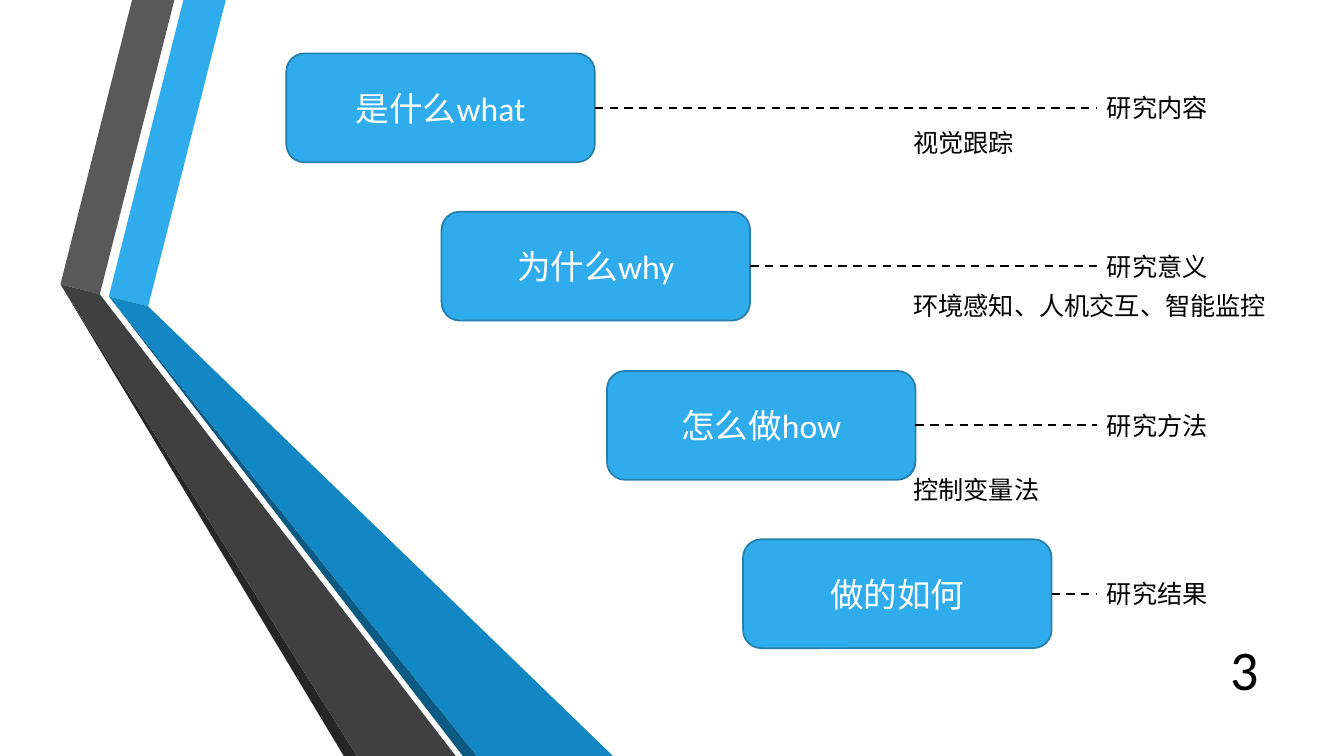
from lxml import etree
from pptx import Presentation
from pptx.dml.color import RGBColor
from pptx.enum.dml import MSO_LINE
from pptx.enum.shapes import MSO_CONNECTOR, MSO_SHAPE
from pptx.enum.text import MSO_ANCHOR, PP_ALIGN
from pptx.oxml.ns import qn
from pptx.util import Inches, Pt

DASH = MSO_LINE.DASH
STRAIGHT = MSO_CONNECTOR.STRAIGHT
ROUNDED = MSO_SHAPE.ROUNDED_RECTANGLE
TOP, MIDDLE = MSO_ANCHOR.TOP, MSO_ANCHOR.MIDDLE
LEFT, CENTER, RIGHT = PP_ALIGN.LEFT, PP_ALIGN.CENTER, PP_ALIGN.RIGHT

SKY = RGBColor(0x30, 0xAC, 0xEC)
SKY_EDGE = RGBColor(0x24, 0x7F, 0xAF)
BLUE = RGBColor(0x12, 0x87, 0xC3)
DEEP_BLUE = RGBColor(0x0C, 0x5A, 0x82)
GREY = RGBColor(0x59, 0x59, 0x59)
DARK_GREY = RGBColor(0x40, 0x40, 0x40)
CHARCOAL = RGBColor(0x26, 0x26, 0x26)
BLACK = RGBColor(0, 0, 0)
WHITE = RGBColor(0xFF, 0xFF, 0xFF)

LATIN_FONT = "Calibri"
CJK_FONT = "Noto Sans CJK SC"

# Corner points of the folded ribbons, back to front
RIBBONS = [
    (SKY, [(1.08, 2.94), (1.47, 3.04), (2.24, 0), (1.82, 0)]),
    (GREY, [(0.99, 2.92), (1.73, 0), (1.31, 0), (0.6, 2.82)]),
    (CHARCOAL, [(0.6, 2.82), (3.41, 7.5), (3.54, 7.5)]),
    (DEEP_BLUE, [(1.08, 2.94), (4.59, 7.5), (4.73, 7.5)]),
    (BLUE, [(1.08, 2.94), (4.73, 7.5), (6.08, 7.5), (1.47, 3.04)]),
    (DARK_GREY, [(0.6, 2.82), (3.54, 7.5), (4.52, 7.5), (0.99, 2.92)]),
]

# Left, top, question, topic, detail, drop from the box top to the detail
STEPS = [
    (2.84, 0.53, "是什么what", "研究内容", "视觉跟踪", 0.68),
    (4.38, 2.1, "为什么why", "研究意义", "环境感知、人机交互、智能监控", 0.73),
    (6.02, 3.68, "怎么做how", "研究方法", "控制变量法", 0.98),
    (7.37, 5.35, "做的如何", "研究结果", None, 0),
]
STEP_W, STEP_H = 3.06, 1.08
TOPIC_X, TOPIC_W = 10.88, 1.7
DETAIL_X, DETAIL_W = 8.96, 3.9
LABEL_H = 0.4


def write(shape, text, size, color, align=LEFT, anchor=TOP, wrap=True,
          font=LATIN_FONT):
    tf = shape.text_frame
    tf.word_wrap = wrap
    tf.vertical_anchor = anchor
    p = tf.paragraphs[0]
    p.alignment = align
    r = p.add_run()
    r.text = text
    r.font.size = Pt(size)
    r.font.color.rgb = color
    r.font.name = font
    etree.SubElement(r.font._element, qn("a:ea"), typeface=CJK_FONT)


def add_label(s, x, y, w, text, size=18, **style):
    box = s.shapes.add_textbox(Inches(x), Inches(y), Inches(w), Inches(LABEL_H))
    write(box, text, size, BLACK, **style)


def add_ribbons(s):
    for color, corners in RIBBONS:
        points = [(Inches(x), Inches(y)) for x, y in corners]
        builder = s.shapes.build_freeform(*points[0])
        builder.add_line_segments(points[1:], close=True)
        ribbon = builder.convert_to_shape()
        ribbon.shadow.inherit = False
        ribbon.fill.solid()
        ribbon.fill.fore_color.rgb = color
        ribbon.line.fill.background()


def add_dashed_line(s, x1, x2, y):
    line = s.shapes.add_connector(STRAIGHT, Inches(x1), Inches(y),
                                  Inches(x2), Inches(y))
    line.line.color.rgb = BLACK
    line.line.width = Pt(1.5)
    line.line.dash_style = DASH
    etree.SubElement(line._element.spPr, qn("a:effectLst"))


def add_step(s, x, y, question, topic, detail, detail_drop):
    """Draw a question box, its dashed link to the topic, and any detail."""
    box = s.shapes.add_shape(ROUNDED, Inches(x), Inches(y),
                             Inches(STEP_W), Inches(STEP_H))
    box.shadow.inherit = False
    box.fill.solid()
    box.fill.fore_color.rgb = SKY
    box.line.color.rgb = SKY_EDGE
    box.line.width = Pt(1.25)
    write(box, question, 24, WHITE, CENTER, MIDDLE)

    middle = y + STEP_H / 2
    add_dashed_line(s, x + STEP_W, TOPIC_X, middle)
    add_label(s, TOPIC_X, middle - LABEL_H / 2, TOPIC_W, topic, font=CJK_FONT)
    if detail:
        add_label(s, DETAIL_X, y + detail_drop, DETAIL_W, detail)


def main():
    prs = Presentation()
    prs.slide_width, prs.slide_height = Inches(13.33), Inches(7.5)
    s = prs.slides.add_slide(prs.slide_layouts[6])
    add_ribbons(s)
    add_label(s, 11.98, 6.43, 0.6, "3", size=40, align=RIGHT, anchor=MIDDLE,
              wrap=False)
    for step in STEPS:
        add_step(s, *step)
    prs.save("out.pptx")


if __name__ == "__main__":
    main()
